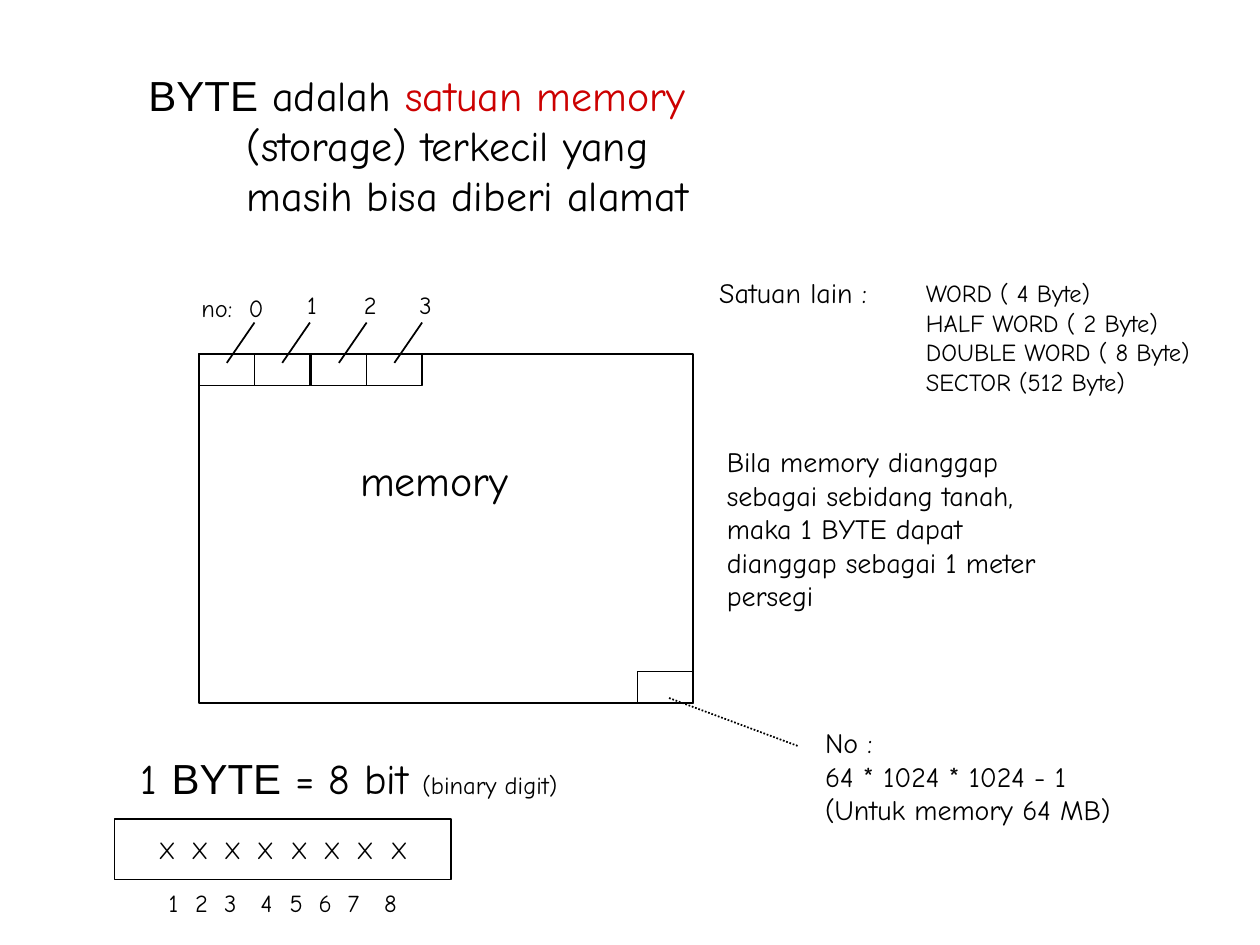
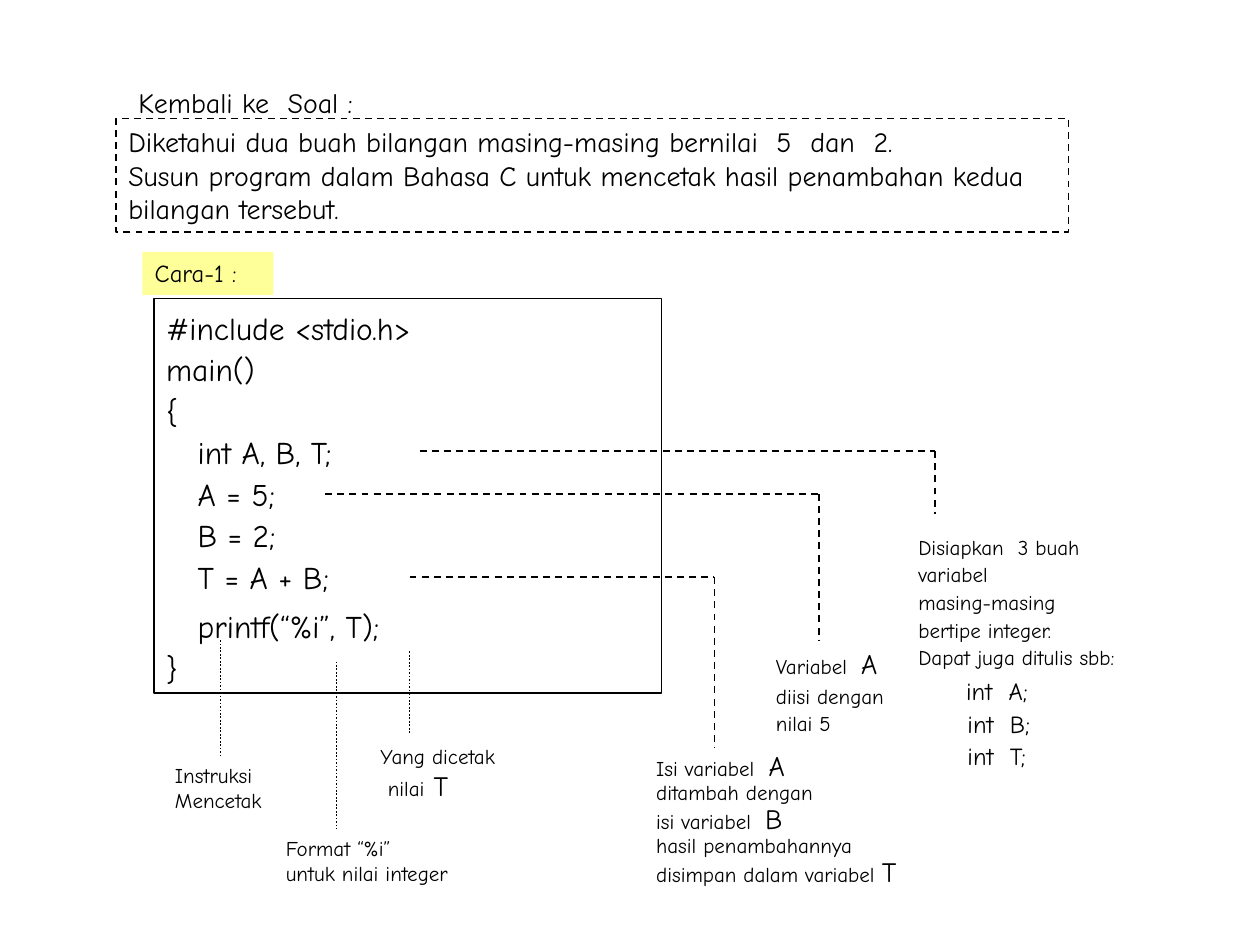
from lxml.etree import SubElement
from pptx import Presentation
from pptx.dml.color import RGBColor
from pptx.enum.dml import MSO_LINE
from pptx.enum.shapes import MSO_CONNECTOR, MSO_SHAPE
from pptx.enum.text import MSO_ANCHOR, MSO_AUTO_SIZE
from pptx.oxml.ns import qn
from pptx.util import Pt

SCALE = 9144
BODY_FONT = "Comic Neue"
BYTE_FONT = "Arial"
BLACK = "000000"
RED = "CC0000"
YELLOW = "FFFF99"
DASH = MSO_LINE.DASH
DOTS = MSO_LINE.ROUND_DOT
TOP_SIDE = 0


def px(length):
    """Turn whole px into EMU."""
    return length * SCALE


def rgb(value):
    """Turn a hex string into a colour."""
    return RGBColor.from_string(value)


def prepare_frame(box, grow):
    """Set wrapping, growth and top anchoring of a box."""
    frame = box.text_frame
    frame.word_wrap = True
    frame.auto_size = MSO_AUTO_SIZE.SHAPE_TO_FIT_TEXT if grow else MSO_AUTO_SIZE.NONE
    frame.vertical_anchor = MSO_ANCHOR.TOP


def add_label(page, left, top, width, height):
    """Add a text box whose height fits its text."""
    box = page.shapes.add_textbox(px(left), px(top), px(width), px(height))
    prepare_frame(box, True)
    return box


def add_rectangle(page, left, top, width, height, fill=None, line=BLACK,
                  weight=1, dash=None, grow=False):
    """Add a plain rectangle, filled or outlined."""
    box = page.shapes.add_shape(MSO_SHAPE.RECTANGLE, px(left), px(top), px(width), px(height))
    box.shadow.inherit = False
    if fill:
        box.fill.solid()
        box.fill.fore_color.rgb = rgb(fill)
    else:
        box.fill.background()
    if line:
        box.line.color.rgb = rgb(line)
        box.line.width = Pt(weight)
        if dash:
            box.line.dash_style = dash
    else:
        box.line.fill.background()
    prepare_frame(box, grow)
    return box


def add_span(para, text, size=14, color=BLACK, font=BODY_FONT):
    """Append a formatted run to a paragraph."""
    span = para.add_run()
    span.text = text
    span.font.size = Pt(size)
    span.font.name = font
    span.font.color.rgb = rgb(color)


def write(box, text, indent=0, tabs=(), spacing=None, before=None, **format):
    """Add one paragraph per line of text and return the last one."""
    frame = box.text_frame
    for line in text.split("\n"):
        para = frame.add_paragraph() if frame.text else frame.paragraphs[0]
        properties = para._p.get_or_add_pPr()
        properties.set("algn", "l")
        if indent:
            properties.set("marL", str(px(indent)))
        if tabs:
            stops = SubElement(properties, qn("a:tabLst"))
            for stop in tabs:
                SubElement(stops, qn("a:tab"), pos=str(px(stop)), algn="l")
        if spacing:
            para.line_spacing = spacing
        if before:
            para.space_before = Pt(before)
        add_span(para, line, **format)
    return para


def add_line(page, start, end, dash=None):
    """Draw a thin straight connector."""
    line = page.shapes.add_connector(
        MSO_CONNECTOR.STRAIGHT, *(px(value) for value in (*start, *end)))
    line.line.color.rgb = rgb(BLACK)
    line.line.width = Pt(1)
    if dash:
        line.line.dash_style = dash
    SubElement(line._element.spPr, qn("a:effectLst"))
    return line


def add_leader(page, start, corner, end):
    """Draw a dashed leader that runs right and then down."""
    add_line(page, start, corner, DASH)
    add_line(page, corner, end, DASH)


def add_memory_map(page):
    """Draw the memory area with its numbered bytes."""
    add_rectangle(page, 158, 281, 392, 277)
    add_rectangle(page, 506, 533, 44, 25)
    write(add_label(page, 276, 356, 160, 50), "memory", size=24)
    for number in range(4):
        left = 158 + 89 * number // 2
        add_rectangle(page, left, 281, 44, 25)
        add_line(page, (left + 22, 288), (left + 44, 256))
        if number:
            write(add_label(page, left + 32, 225, 40, 34), str(number))
    write(add_label(page, 150, 228, 92, 34), "no:  0")
    add_line(page, (531, 554), (633, 592), DOTS)
    write(add_label(page, 645, 571, 270, 90),
          "No :\n64 * 1024 * 1024 - 1\n(Untuk memory 64 MB)", size=16)


def add_bit_row(page):
    """Show the eight bits of one byte."""
    para = write(add_label(page, 102, 592, 400, 50), "1 ", size=24)
    add_span(para, "BYTE", size=24, font=BYTE_FONT)
    add_span(para, " = 8 bit ", size=24)
    add_span(para, "(binary digit)")
    bits = add_rectangle(page, 91, 650, 267, 48, weight=0.75)
    bits.text_frame.margin_left = px(35)
    bits.text_frame.vertical_anchor = MSO_ANCHOR.MIDDLE
    write(bits, "\t".join("X" * 8), tabs=[263 * step // 10 for step in range(1, 8)])
    write(add_label(page, 124, 700, 220, 34), "\t".join("12345678"),
          tabs=(21, 44, 73, 96, 119, 142, 171))


def build_byte_page(page):
    """Explain the byte as the unit of memory."""
    add_memory_map(page)
    add_bit_row(page)
    write(add_label(page, 567, 348, 292, 144),
          "Bila memory dianggap sebagai sebidang tanah,\n"
          "maka 1 BYTE dapat dianggap sebagai 1 meter persegi", size=16)
    write(add_label(page, 561, 214, 160, 37), "Satuan lain :", size=16)
    write(add_label(page, 725, 216, 250, 104),
          "WORD ( 4 Byte)\nHALF WORD ( 2 Byte)\nDOUBLE WORD ( 8 Byte)\nSECTOR (512 Byte)")
    title = add_label(page, 108, 50, 550, 130)
    para = write(title, "BYTE", size=24, font=BYTE_FONT)
    add_span(para, " adalah ", size=24)
    add_span(para, "satuan memory", size=24, color=RED)
    write(title, "(storage) terkecil yang\nmasih bisa diberi alamat", size=24, indent=78)


def add_program(page):
    """Show the question and the program that answers it."""
    write(add_label(page, 100, 63, 294, 37), "Kembali ke  Soal :", size=16)
    question = add_rectangle(page, 92, 94, 756, 90, dash=DASH, grow=True)
    write(question,
          "Diketahui dua buah bilangan masing-masing bernilai  5  dan  2.\n"
          "Susun program dalam Bahasa C untuk mencetak hasil penambahan kedua "
          "bilangan tersebut.", size=16)
    method = add_rectangle(page, 113, 200, 104, 34, fill=YELLOW, line=None, grow=True)
    write(method, "Cara-1 :")
    program = add_rectangle(page, 122, 237, 403, 313, grow=True)
    write(program,
          "#include <stdio.h>\nmain()\n{\n   int A, B, T;\n   A = 5;\n   B = 2;\n   T = A + B;",
          size=18, spacing=1.1)
    write(program, "   printf(“%i”, T);", size=18, spacing=1.3)
    write(program, "}", size=18, spacing=1.1)


def add_variable_notes(page):
    """Explain the declaration, the assignment and the sum."""
    add_leader(page, (333, 358), (742, 358), (742, 408))
    declaration = add_label(page, 719, 417, 214, 201)
    write(declaration,
          "Disiapkan  3 buah\nvariabel\nmasing-masing\nbertipe integer.\nDapat juga ditulis sbb:",
          size=12, spacing=1.1)
    write(declaration, "int  A;", indent=38, spacing=1.1, before=2)
    write(declaration, "int  B;\nint  T;", indent=39, spacing=1.1)

    add_leader(page, (258, 392), (650, 392), (650, 508))
    assignment = add_label(page, 606, 506, 125, 84)
    add_span(write(assignment, "Variabel  ", size=12, spacing=1.1), "A", size=16)
    write(assignment, "diisi dengan\nnilai 5", size=12, spacing=1.1)

    add_leader(page, (325, 458), (567, 458), (567, 594))
    addition = add_label(page, 511, 592, 230, 118)
    for text, variable in (("Isi variabel  ", "A"),
                           ("ditambah dengan\nisi variabel  ", "B"),
                           ("hasil penambahannya\ndisimpan dalam variabel ", "T")):
        add_span(write(addition, text, size=12, spacing=0.9), variable, size=16)


def add_print_notes(page):
    """Explain the parts of the print instruction."""
    instruction = add_label(page, 129, 600, 92, 50)
    write(instruction, "Instruksi\nMencetak", size=12)
    add_line(page, (175, 508), (175, 600), DOTS).end_connect(instruction, TOP_SIDE)
    add_line(page, (267, 525), (267, 658), DOTS)
    write(add_label(page, 217, 658, 170, 50), "Format “%i”\nuntuk nilai integer", size=12)
    add_line(page, (325, 517), (325, 583), DOTS)
    printed = add_label(page, 292, 585, 189, 57)
    write(printed, "Yang dicetak", size=12)
    add_span(write(printed, "nilai", size=12, indent=6), " T", size=16)


def build_program_page(page):
    """Walk through the first solution."""
    add_program(page)
    add_variable_notes(page)
    add_print_notes(page)


def main():
    """Build and save the deck."""
    deck = Presentation()
    deck.slide_width, deck.slide_height = px(1000), px(750)
    for build in (build_byte_page, build_program_page):
        build(deck.slides.add_slide(deck.slide_layouts[6]))
    deck.save("out.pptx")


if __name__ == "__main__":
    main()
